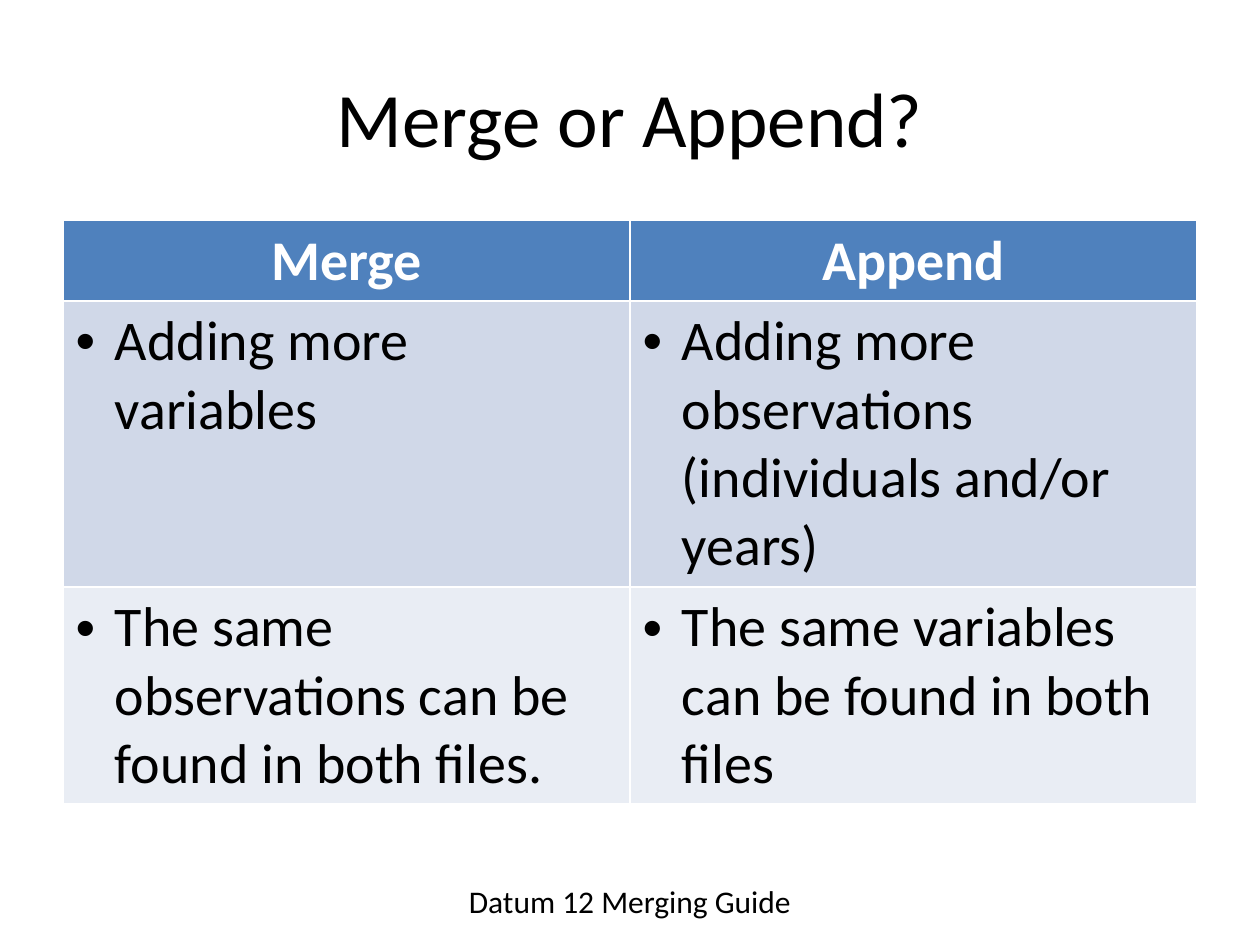
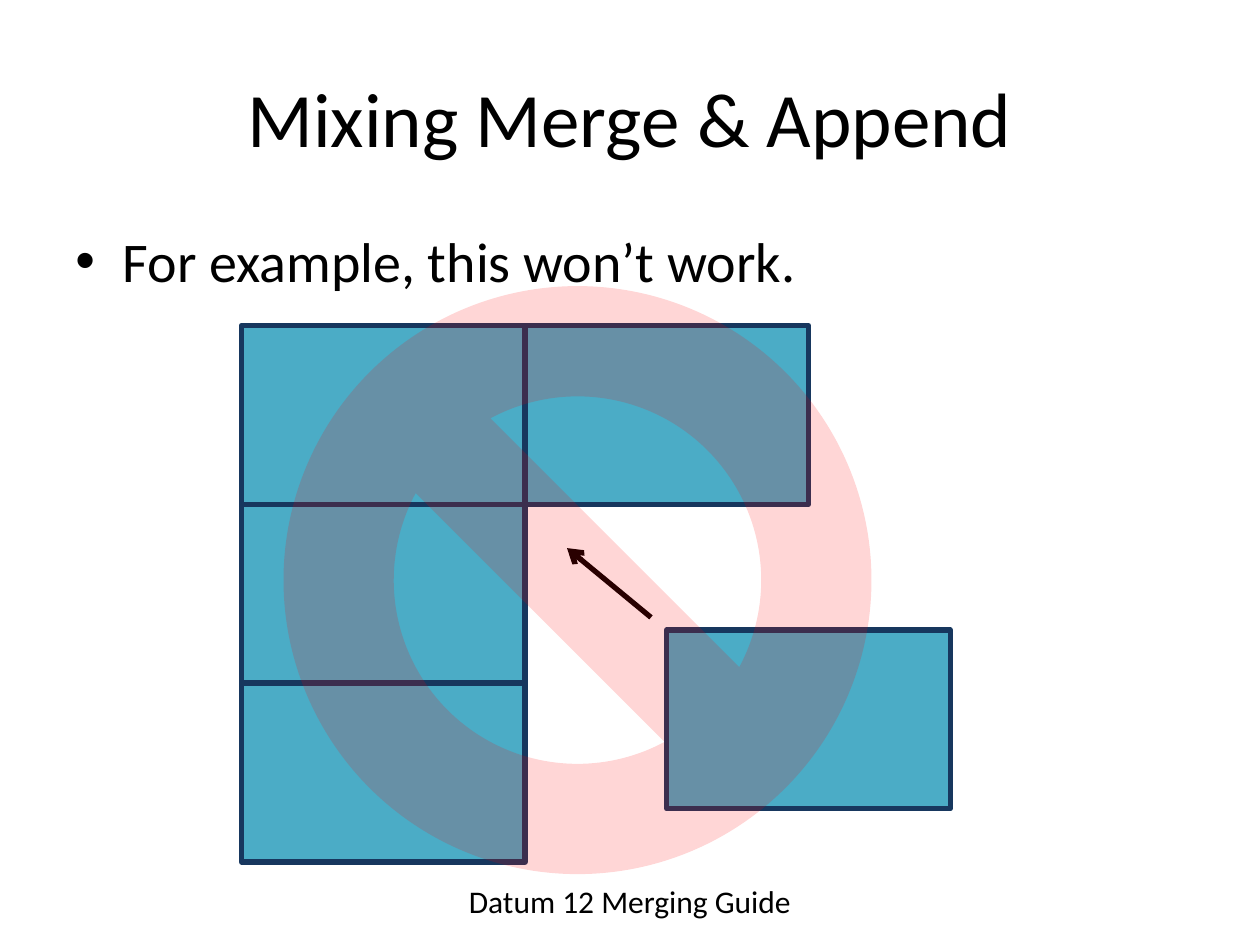
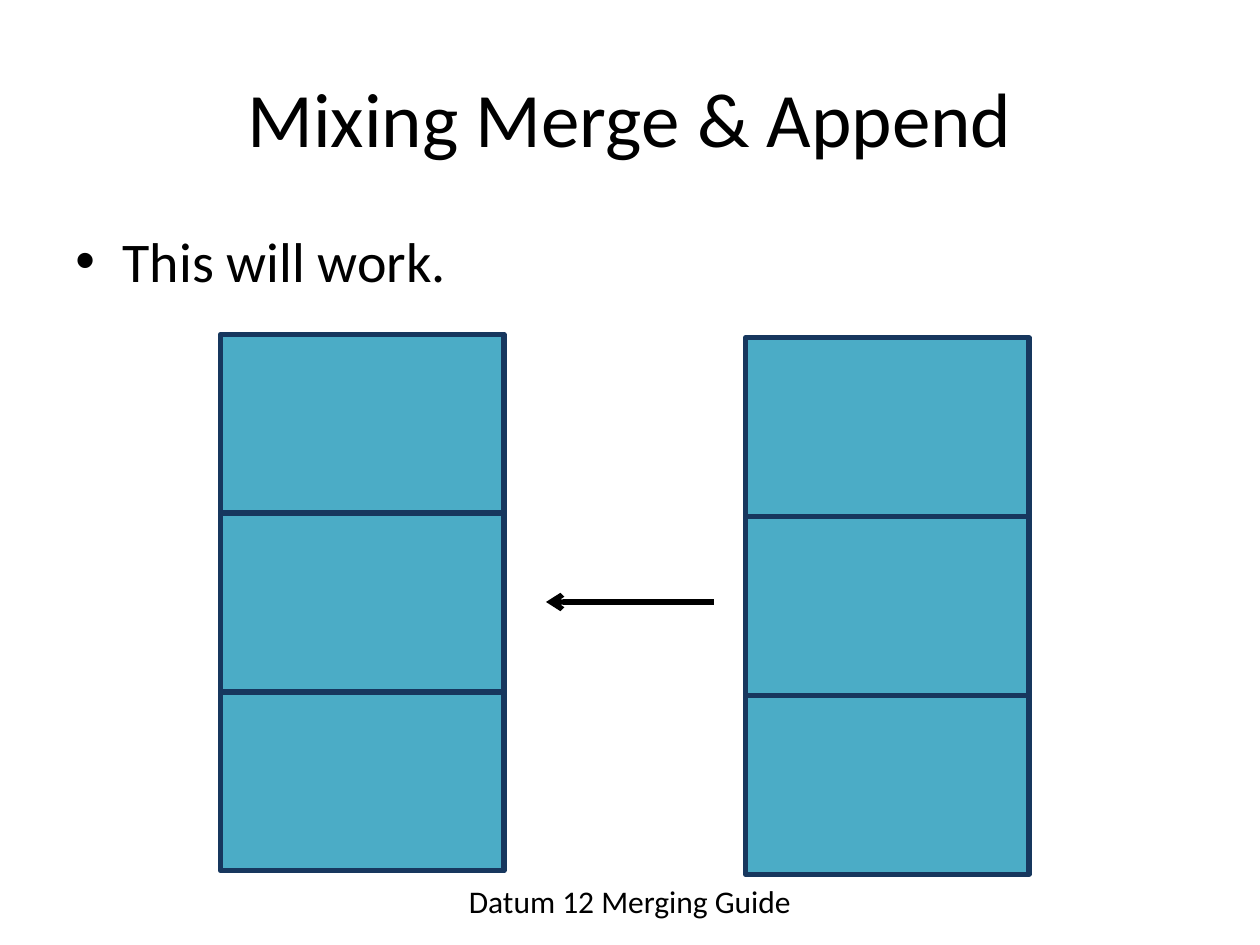
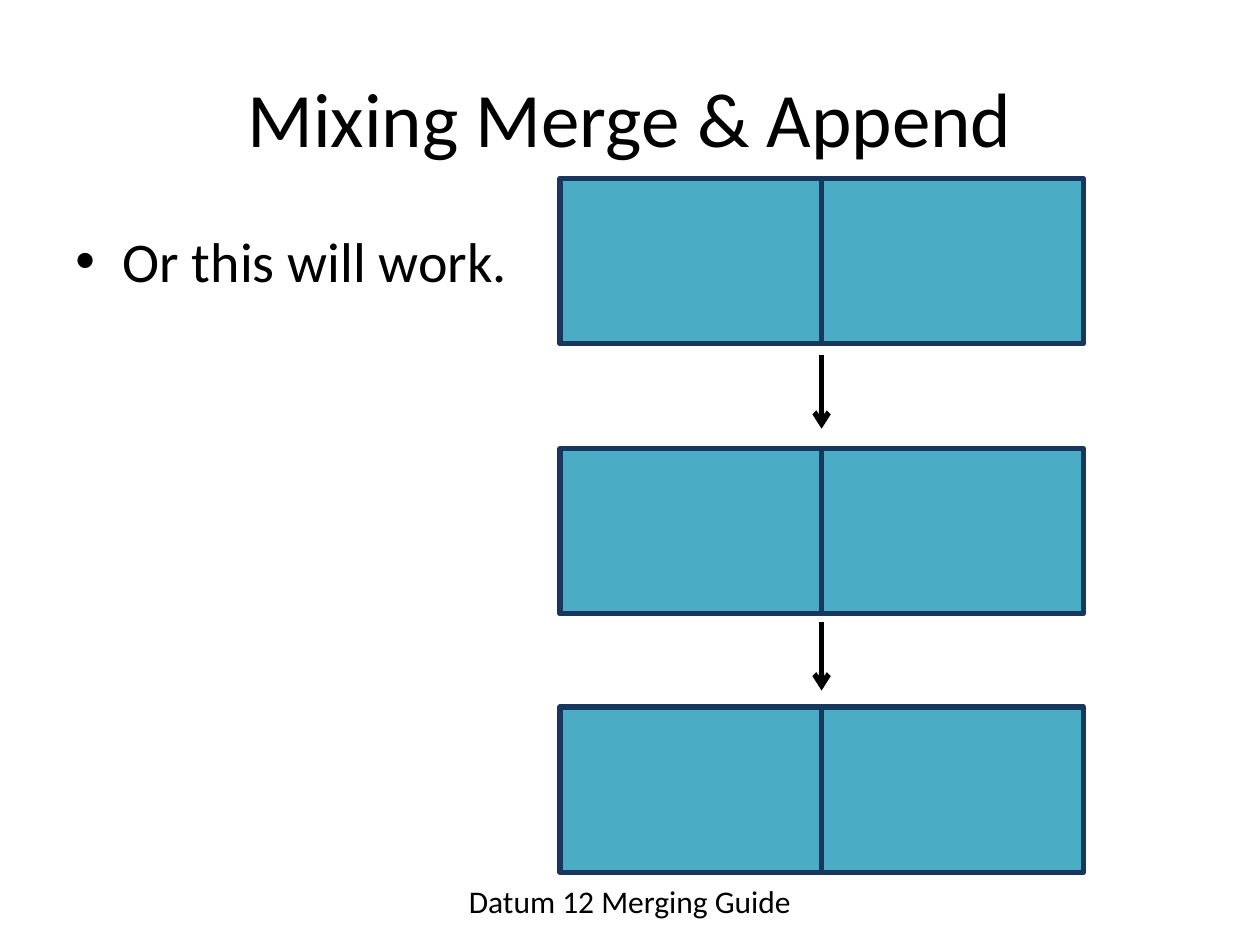
from dataclasses import dataclass

from lxml import etree
from pptx import Presentation
from pptx.dml.color import RGBColor
from pptx.enum.shapes import MSO_CONNECTOR, MSO_SHAPE
from pptx.enum.text import MSO_ANCHOR, PP_ALIGN
from pptx.oxml.ns import qn
from pptx.util import Pt

CENTER = PP_ALIGN.CENTER
LEFT = PP_ALIGN.LEFT
MIDDLE = MSO_ANCHOR.MIDDLE
RECT = MSO_SHAPE.RECTANGLE
NO_SIGN = MSO_SHAPE.NO_SYMBOL
STRAIGHT = MSO_CONNECTOR.STRAIGHT
TITLE_ONLY = 5


@dataclass(frozen=True)
class Theme:
    font: str = "Calibri"
    black: str = "000000"
    white: str = "FFFFFF"
    head: str = "4F81BD"
    bands: tuple = ("D0D8E8", "E9EDF4")
    block: str = "4BACC6"
    edge: str = "17375E"
    ban: str = "FF0000"
    ban_alpha: int = 16
    title: int = 44
    body: int = 32
    foot: int = 18
    line: int = 3


THEME = Theme()
FOOTER = "Datum 12 Merging Guide"
MIXING = "Mixing Merge & Append"
BLOCK = (162, 102.2)
SMALL = (149.5, 94.5)


def paint(fill, color):
    fill.solid()
    fill.fore_color.rgb = RGBColor.from_string(color)


def write(frame, text, size, color=THEME.black, bold=False, align=CENTER):
    frame.text = text
    frame.word_wrap = True
    para = frame.paragraphs[0]
    para.alignment = align
    font = para.runs[0].font
    font.name = THEME.font
    font.size = Pt(size)
    font.bold = bold
    font.color.rgb = RGBColor.from_string(color)
    return para


def bullet(frame, text, indent):
    para = write(frame, text, THEME.body, align=LEFT)
    props = para._p.get_or_add_pPr()
    props.set("marL", str(Pt(indent)))
    props.set("indent", str(-Pt(indent)))
    etree.SubElement(props, qn("a:buFont"), typeface="Arial")
    etree.SubElement(props, qn("a:buChar"), char="•")


def text_box(slide, left, top, width, height):
    box = slide.shapes.add_textbox(Pt(left), Pt(top), Pt(width), Pt(height))
    return box.text_frame


def add_page(deck, heading, point=None):
    slide = deck.slides.add_slide(deck.slide_layouts[TITLE_ONLY])
    title = slide.shapes.title
    title.left, title.top = Pt(36), Pt(21.6)
    title.width, title.height = Pt(648), Pt(90)
    title.text_frame.vertical_anchor = MIDDLE
    write(title.text_frame, heading, THEME.title)
    if point:
        bullet(text_box(slide, 36, 126, 648, 356.4), point, 27)
    foot = text_box(slide, 246, 500.4, 228, 29)
    foot.vertical_anchor = MIDDLE
    write(foot, FOOTER, THEME.foot)
    return slide


def add_grid(slide, left, top, size, cols=1, rows=1):
    width, height = size
    for row in range(rows):
        for col in range(cols):
            box = slide.shapes.add_shape(
                RECT, Pt(left + col * width), Pt(top + row * height), Pt(width), Pt(height)
            )
            box.shadow.inherit = False
            paint(box.fill, THEME.block)
            paint(box.line.fill, THEME.edge)
            box.line.width = Pt(THEME.line)


def add_arrow(slide, start, end):
    ends = [Pt(value) for value in (*start, *end)]
    arrow = slide.shapes.add_connector(STRAIGHT, *ends)
    paint(arrow.line.fill, THEME.black)
    arrow.line.width = Pt(THEME.line)
    etree.SubElement(arrow.line._get_or_add_ln(), qn("a:tailEnd"), type="arrow")
    etree.SubElement(arrow._element.spPr, qn("a:effectLst"))


def add_ban(slide, left, top, size):
    sign = slide.shapes.add_shape(NO_SIGN, Pt(left), Pt(top), Pt(size), Pt(size))
    sign.shadow.inherit = False
    paint(sign.fill, THEME.ban)
    sign.line.fill.background()
    color = sign._element.spPr.find(qn("a:solidFill"))[0]
    etree.SubElement(color, qn("a:alpha"), val=str(THEME.ban_alpha * 1000))


def add_table(slide, rows, heights):
    frame = slide.shapes.add_table(
        len(rows), len(rows[0]), Pt(36), Pt(126), Pt(648), Pt(sum(heights))
    )
    table = frame.table
    for index, (texts, height) in enumerate(zip(rows, heights)):
        table.rows[index].height = Pt(height)
        for col, text in enumerate(texts):
            cell = table.cell(index, col)
            if index == 0:
                paint(cell.fill, THEME.head)
                write(cell.text_frame, text, THEME.body, THEME.white, True)
            else:
                paint(cell.fill, THEME.bands[(index - 1) % 2])
                bullet(cell.text_frame, text, 22.5)


def show_choice(deck):
    slide = add_page(deck, "Merge or Append?")
    rows = (
        ("Merge", "Append"),
        ("Adding more variables", "Adding more observations (individuals and/or years)"),
        (
            "The same observations can be found in both files.",
            "The same variables can be found in both files",
        ),
    )
    add_table(slide, rows, (46, 163.5, 124))


def show_wrong(deck):
    slide = add_page(deck, MIXING, "For example, this won’t work.")
    add_grid(slide, 138, 186, BLOCK, rows=3)
    add_grid(slide, 300, 186, BLOCK)
    add_grid(slide, 381, 360, BLOCK)
    add_arrow(slide, (372, 352.8), (324, 313.2))
    add_ban(slide, 162, 163.5, 336)


def show_stacks(deck):
    slide = add_page(deck, MIXING, "This will work.")
    add_grid(slide, 126, 191, BLOCK, rows=3)
    add_grid(slide, 426, 193, BLOCK, rows=3)
    add_arrow(slide, (408, 344), (312, 344))


def show_pairs(deck):
    slide = add_page(deck, MIXING, "Or this will work.")
    for top in (102, 256.3, 404):
        add_grid(slide, 320, top, SMALL, cols=2)
    for start, end in ((203, 245), (355.7, 394.6)):
        add_arrow(slide, (469.5, start), (469.5, end))


def main():
    deck = Presentation()
    deck.slide_width, deck.slide_height = Pt(720), Pt(540)
    show_choice(deck)
    show_wrong(deck)
    show_stacks(deck)
    show_pairs(deck)
    deck.save("out.pptx")


if __name__ == "__main__":
    main()
